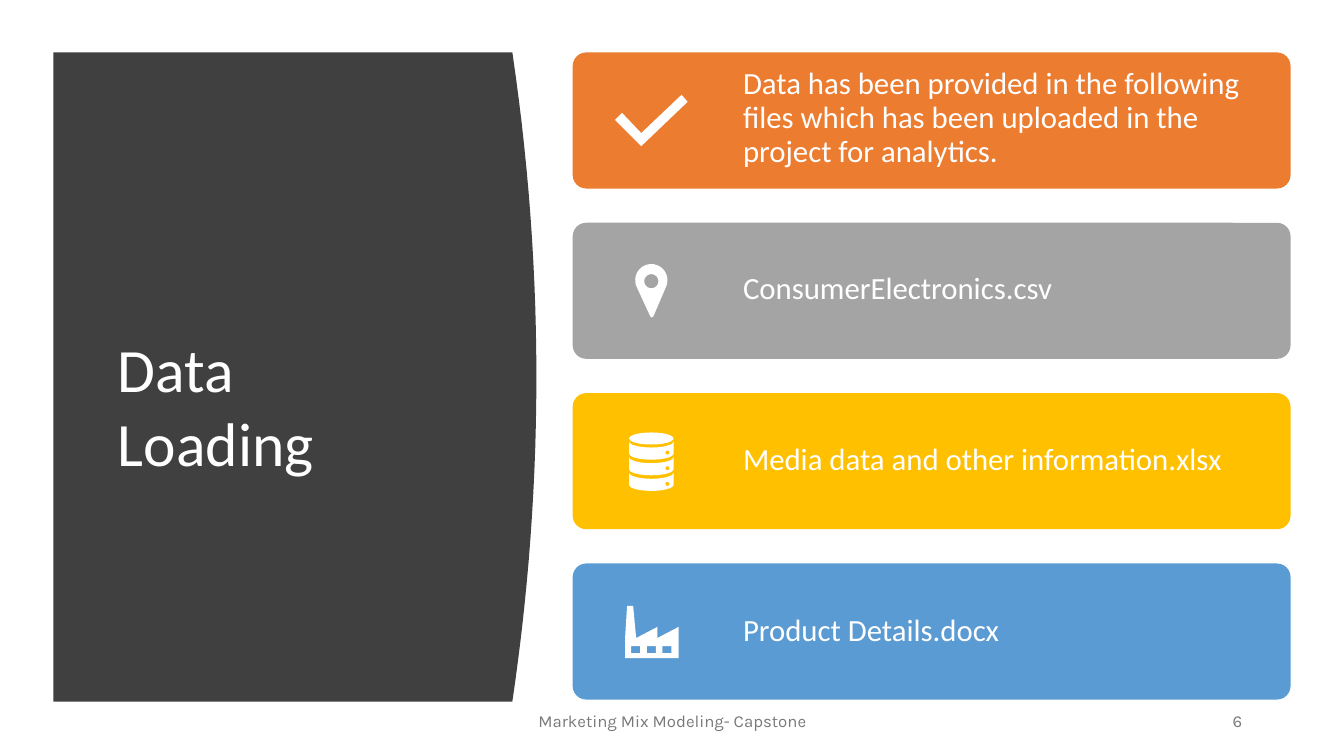
"""Build the Data Loading slide with its four file cards."""
from math import cos, radians, sin

from pptx import Presentation
from pptx.dml.color import RGBColor
from pptx.enum.shapes import MSO_SHAPE
from pptx.enum.text import MSO_ANCHOR, PP_ALIGN
from pptx.util import Inches, Pt


def arc(x, y, wide, high, start=0, end=360):
    turns = [radians(start + (end - start) * i / 24) for i in range(25)]
    return [(x + wide * cos(t), y + high * sin(t)) for t in turns]


deck = Presentation()
deck.slide_width, deck.slide_height = Inches(13.33), Inches(7.5)
slide = deck.slides.add_slide(deck.slide_layouts[5])
shapes = slide.shapes
painted = []

for i, color in enumerate(["EC7C30", "A4A4A4", "FFC000", "5B9BD4"]):
    card = shapes.add_shape(MSO_SHAPE.ROUNDED_RECTANGLE, Inches(5.68),
                            Inches(0.52 + 1.69 * i), Inches(7.12), Inches(1.35))
    card.adjustments[0] = 0.1
    painted.append((card, color))

edge = [0.52 + 0.23 * i for i in range(29)]
panel = [(0.53, 6.96), (0.53, 0.52)]
panel += [(5.32 - 0.02 * 1.15 * (y - 3.74) ** 2, y) for y in edge]

check = [(6.76, 0.94), (6.36, 1.32), (6.17, 1.12), (6.1, 1.19),
         (6.36, 1.45), (6.82, 1.01)]

pin = arc(6.46, 2.78, 0.16, 0.16, 155, 385)
pin += [(6.48, 3.14), (6.46, 3.15), (6.45, 3.14)]
hole = arc(6.46, 2.79, 0.07, 0.07)

disks = [arc(6.46, 4.35, 0.22, 0.06)]
for i in range(3):
    y = 4.38 + 0.155 * i
    disks.append(arc(6.46, y, 0.22, 0.06) [:13]
                 + arc(6.46, y + 0.12, 0.22, 0.06, 180, 0))
    disks.append(arc(6.62, y + 0.11, 0.02, 0.02))

plant = [[(6.2, 6.53), (6.2, 6.33), (6.22, 6.01), (6.28, 6.01), (6.31, 6.33),
          (6.52, 6.22), (6.52, 6.33), (6.73, 6.22), (6.73, 6.53)]]
for i in range(3):
    x = 6.26 + 0.155 * i
    plant.append([(x, 6.41), (x + 0.09, 6.41), (x + 0.09, 6.48), (x, 6.48)])

for rings, color in [([panel], "404040"), ([check], "FFFFFF"),
                     ([pin, hole], "FFFFFF"), (disks, "FFFFFF"),
                     (plant, "FFFFFF")]:
    pen = None
    for ring in rings:
        points = [(Inches(x), Inches(y)) for x, y in ring]
        if pen is None:
            pen = shapes.build_freeform(*points[0])
        else:
            pen.move_to(*points[0])
        pen.add_line_segments(points[1:], close=True)
    painted.append((pen.convert_to_shape(), color))

for shape, color in painted:
    shape.shadow.inherit = False
    shape.fill.solid()
    shape.fill.fore_color.rgb = RGBColor.from_string(color)
    shape.line.fill.background()

white = ("Calibri", "FFFFFF", PP_ALIGN.LEFT)
texts = [
    ("Data has been provided in the following files which has been uploaded "
     "in the project for analytics.", (7.37, 0.63, 4.96, 1.07), 22, white),
    ("Data Loading", (1.17, 3.27, 3, 1.5), 44, white),
    ("ConsumerElectronics.csv", (7.37, 2.65, 4.96, 0.39), 22, white),
    ("Media data and other information.xlsx", (7.37, 4.35, 4.96, 0.39), 22, white),
    ("Product Details.docx", (7.37, 6.04, 4.96, 0.39), 22, white),
    ("Marketing Mix Modeling- Capstone", (4.42, 6.95, 4.5, 0.4), 12,
     ("Karla", "797979", PP_ALIGN.CENTER)),
    ("6", (9.42, 6.95, 3, 0.4), 12, ("Karla", "797979", PP_ALIGN.RIGHT)),
]
for i, (words, place, size, (face, color, align)) in enumerate(texts):
    spot = [Inches(n) for n in place]
    box = shapes.add_textbox(*spot) if i else shapes.title
    box.left, box.top, box.width, box.height = spot
    frame = box.text_frame
    frame.text = words
    frame.word_wrap = True
    frame.vertical_anchor = MSO_ANCHOR.TOP if size == 44 else MSO_ANCHOR.MIDDLE
    if size > 12:
        frame.margin_left = frame.margin_right = frame.margin_bottom = 0
        frame.margin_top = Inches(0.01)
    line = frame.paragraphs[0]
    line.alignment = align
    line.font.name, line.font.size = face, Pt(size)
    line.font.color.rgb = RGBColor.from_string(color)
    if box.is_placeholder:
        line.line_spacing = 0.92
        shapes._spTree.append(box._element)

deck.save("out.pptx")
